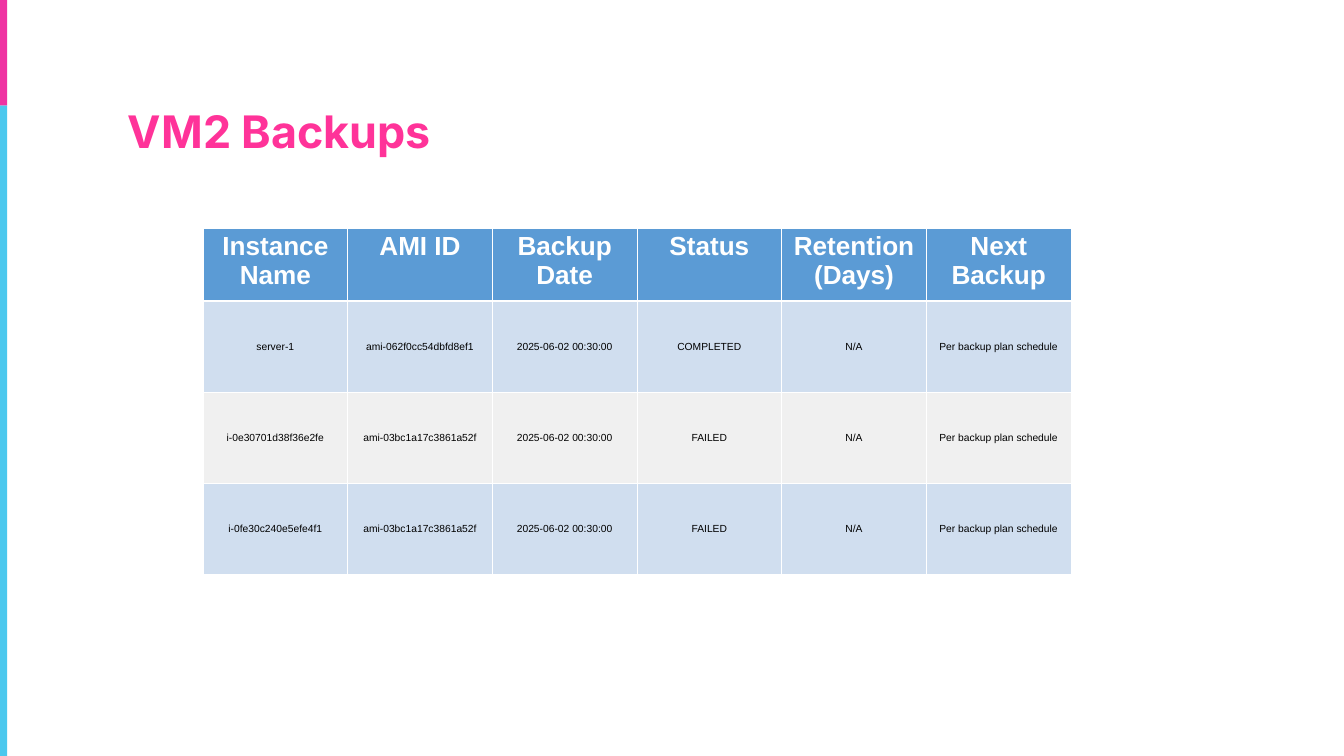
from dataclasses import dataclass

import pptx
import pptx.dml.color
import pptx.enum.shapes
import pptx.enum.text
import pptx.oxml
import pptx.oxml.ns
import pptx.util

Pt = pptx.util.Pt
RGB = pptx.dml.color.RGBColor.from_string
CENTER = pptx.enum.text.PP_ALIGN.CENTER
ANCHOR = pptx.enum.text.MSO_ANCHOR


@dataclass(frozen=True)
class Theme:
    pink: str = "EF33A2"
    cyan: str = "4BC8EE"
    title: str = "FF3399"
    head: str = "5B9BD5"
    bands: tuple = ("D0DEEF", "F0F0F0")
    white: str = "FFFFFF"
    black: str = "000000"
    sans: str = "Arial"
    bold: str = "Inter"
    big: int = 48
    mid: int = 28
    small: int = 11
    thin: int = 1
    thick: int = 3


@dataclass(frozen=True)
class Bar:
    top: float
    height: float
    color: str


@dataclass(frozen=True)
class Style:
    fill: str
    color: str
    size: int
    bold: bool
    anchor: ANCHOR
    upper: int
    lower: int


THEME = Theme()
WIDTH, HEIGHT = 1440, 810
SPLIT = 113
BARS = [Bar(SPLIT, HEIGHT - SPLIT, THEME.cyan), Bar(0, SPLIT, THEME.pink)]

HEADS = ["Instance Name", "AMI ID", "Backup Date", "Status",
         "Retention (Days)", "Next Backup"]
BACKUPS = [
    ("server-1", "ami-062f0cc54dbfd8ef1", "COMPLETED"),
    ("i-0e30701d38f36e2fe", "ami-03bc1a17c3861a52f", "FAILED"),
    ("i-0fe30c240e5efe4f1", "ami-03bc1a17c3861a52f", "FAILED"),
]
ROWS = [[name, image, "2025-06-02 00:30:00", status, "N/A",
         "Per backup plan schedule"] for name, image, status in BACKUPS]


def draw_bar(slide, bar: Bar) -> None:
    shape = slide.shapes.add_shape(pptx.enum.shapes.MSO_SHAPE.RECTANGLE,
                                   0, Pt(bar.top), Pt(7.8), Pt(bar.height))
    shape.shadow.inherit = False
    shape.fill.solid()
    shape.fill.fore_color.rgb = RGB(bar.color)
    shape.line.fill.background()


def set_font(para, face: str, size: int, color: str, bold: bool) -> None:
    para.alignment = CENTER
    for run in para.runs:
        run.font.name = face
        run.font.size = Pt(size)
        run.font.bold = bold
        run.font.color.rgb = RGB(color)


def add_edge(cell, side: str, weight: int) -> None:
    space = pptx.oxml.ns.nsdecls("a")
    cell._tc.get_or_add_tcPr().append(pptx.oxml.parse_xml(
        f'<a:ln{side} {space} w="{Pt(weight)}"><a:solidFill>'
        f'<a:srgbClr val="{THEME.white}"/></a:solidFill></a:ln{side}>'))


def fill_cell(cell, text: str, style: Style) -> None:
    cell.text_frame.text = text
    set_font(cell.text_frame.paragraphs[0], THEME.sans, style.size,
             style.color, style.bold)
    cell.vertical_anchor = style.anchor
    # Edges come before the fill in the cell's XML
    edges = {"L": THEME.thin, "R": THEME.thin,
             "T": style.upper, "B": style.lower}
    for side, weight in edges.items():
        add_edge(cell, side, weight)
    cell.fill.solid()
    cell.fill.fore_color.rgb = RGB(style.fill)


def row_style(index: int) -> Style:
    if index == 0:
        return Style(THEME.head, THEME.white, THEME.mid, True,
                     ANCHOR.TOP, THEME.thin, THEME.thick)
    upper = THEME.thick if index == 1 else THEME.thin
    return Style(THEME.bands[(index - 1) % 2], THEME.black, THEME.small,
                 False, ANCHOR.MIDDLE, upper, THEME.thin)


def draw_table(slide) -> None:
    col, head, body = 155, 77.5, 97.6
    data = [HEADS] + ROWS
    table = slide.shapes.add_table(
        len(data), len(HEADS), Pt(217.5), Pt(245),
        Pt(col * len(HEADS)), Pt(head + body * len(ROWS))).table
    for column in table.columns:
        column.width = Pt(col)
    for index, texts in enumerate(data):
        table.rows[index].height = Pt(body if index else head)
        for place, text in enumerate(texts):
            fill_cell(table.cell(index, place), text, row_style(index))


def draw_title(slide, text: str) -> None:
    box = slide.shapes.add_textbox(Pt(119.5), Pt(70.5), Pt(360), Pt(85.7))
    frame = box.text_frame
    frame.word_wrap = True
    frame.auto_size = pptx.enum.text.MSO_AUTO_SIZE.SHAPE_TO_FIT_TEXT
    frame.text = text
    para = frame.paragraphs[0]
    para.line_spacing = 1.64
    set_font(para, THEME.bold, THEME.big, THEME.title, True)


def main() -> None:
    deck = pptx.Presentation()
    deck.slide_width, deck.slide_height = Pt(WIDTH), Pt(HEIGHT)
    slide = deck.slides.add_slide(deck.slide_layouts[6])

    # Side stripe
    for bar in BARS:
        draw_bar(slide, bar)

    # Backup table and heading
    draw_table(slide)
    draw_title(slide, "VM2 Backups")

    deck.save("out.pptx")


if __name__ == "__main__":
    main()
